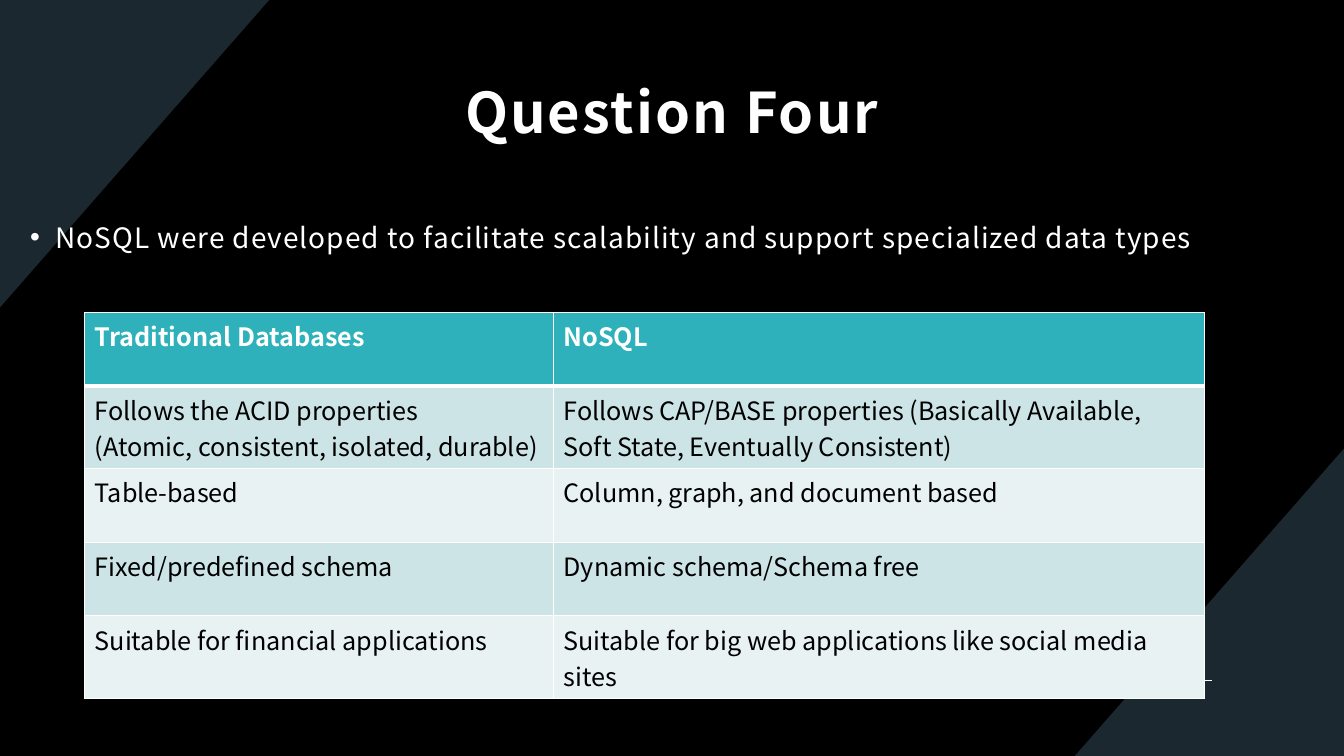
"""Build the Question Four slide comparing traditional databases with NoSQL."""
from dataclasses import dataclass

from lxml import etree
from pptx import Presentation
from pptx import util as u
from pptx.dml.color import RGBColor
from pptx.enum import shapes, text
from pptx.oxml.ns import qn


@dataclass(frozen=True)
class Theme:
    """Colours, fonts and type sizes of the slide."""
    background: str = "000000"
    corner: str = "1B282F"
    light: str = "FFFFFF"
    dark: str = "000000"
    header: str = "2FB1BB"
    bands: tuple = ("CDE4E7", "E8F2F3")
    font: str = "Noto Sans CJK SC"
    bullet_font: str = "Arial"
    title_size: int = 40
    body_size: int = 20
    cell_size: int = 18


THEME = Theme()
CORNERS = (
    ((13.33, 4.45), (13.33, 7.5), (10.66, 7.5)),
    ((0, 0), (2.67, 0), (0, 3.05)),
)
SHORT_ROW, TALL_ROW = 0.73, 0.82
COMPARISON = (
    (SHORT_ROW, "Traditional Databases", "NoSQL"),
    (TALL_ROW, "Follows the ACID properties\n(Atomic, consistent, isolated, durable)",
     "Follows CAP/BASE properties (Basically Available, Soft State, Eventually Consistent)"),
    (SHORT_ROW, "Table-based", "Column, graph, and document based"),
    (SHORT_ROW, "Fixed/predefined schema", "Dynamic schema/Schema free"),
    (TALL_ROW, "Suitable for financial applications",
     "Suitable for big web applications like social media sites"),
)


def apply(target, values):
    """Set each named value on the target."""
    for name, value in values.items():
        setattr(target, name, value)


def paint(fill, colour):
    """Give a fill one solid colour."""
    fill.solid()
    fill.fore_color.rgb = RGBColor.from_string(colour)


def style_font(font, size, colour, bold=False):
    """Set the typeface, size, weight and colour of a font."""
    apply(font, {"name": THEME.font, "size": u.Pt(size), "bold": bold})
    font.color.rgb = RGBColor.from_string(colour)


def add_corner(slide, points):
    """Draw a triangle that fills a slide corner."""
    start, *others = [(u.Inches(x), u.Inches(y)) for x, y in points]
    builder = slide.shapes.build_freeform(*start)
    builder.add_line_segments(others)
    corner = builder.convert_to_shape()
    corner.shadow.inherit = False
    paint(corner.fill, THEME.corner)
    corner.line.fill.background()


def add_rule(slide, left, right, top):
    """Draw a thin horizontal rule."""
    rule = slide.shapes.add_connector(
        shapes.MSO_CONNECTOR.STRAIGHT,
        u.Inches(left), u.Inches(top), u.Inches(right), u.Inches(top))
    rule.line.width = u.Pt(1)
    paint(rule.line.fill, THEME.light)
    etree.SubElement(rule.element.spPr, qn("a:effectLst"))


def add_text(slide, words, box, size, spacing, paragraph_format, anchor, bold=False):
    """Add one letter-spaced paragraph and return it."""
    frame = slide.shapes.add_textbox(*map(u.Inches, box)).text_frame
    margin = u.Inches(0.12)
    apply(frame, {"word_wrap": True, "vertical_anchor": anchor,
                  "margin_left": margin, "margin_right": margin,
                  "margin_top": margin, "margin_bottom": u.Inches(0.1)})
    paragraph = frame.paragraphs[0]
    apply(paragraph, paragraph_format)
    run = paragraph.add_run()
    run.text = words
    style_font(run.font, size, THEME.light, bold)
    run.font._element.set("spc", str(round(spacing * 100)))
    return paragraph


def add_bullet(paragraph, indent):
    """Hang a round bullet in front of a paragraph."""
    properties = paragraph._p.get_or_add_pPr()
    properties.set("marL", str(u.Inches(indent)))
    properties.set("indent", str(-u.Inches(indent)))
    etree.SubElement(properties, qn("a:buFont"), typeface=THEME.bullet_font)
    etree.SubElement(properties, qn("a:buChar"), char="•")


def add_borders(cell, widths):
    """Outline a cell with the point width given for each side."""
    properties = cell._tc.get_or_add_tcPr()
    for position, (side, width) in enumerate(widths.items()):
        border = etree.Element(qn(f"a:ln{side}"), w=str(u.Pt(width)))
        solid = etree.SubElement(border, qn("a:solidFill"))
        etree.SubElement(solid, qn("a:srgbClr"), val=THEME.light)
        properties.insert(position, border)


def add_comparison(slide, rows, left, top, widths):
    """Add the banded table with its header row."""
    total_height = sum(height for height, *_ in rows)
    table = slide.shapes.add_table(
        len(rows), len(widths), u.Inches(left), u.Inches(top),
        u.Inches(sum(widths)), u.Inches(total_height)).table
    for column, width in zip(table.columns, widths):
        column.width = u.Inches(width)
    for row_index, (height, *entries) in enumerate(rows):
        table.rows[row_index].height = u.Inches(height)
        is_header = row_index == 0
        fill = THEME.header if is_header else THEME.bands[(row_index - 1) % 2]
        ink = THEME.light if is_header else THEME.dark
        for column_index, words in enumerate(entries):
            cell = table.cell(row_index, column_index)
            cell.text = words
            paint(cell.fill, fill)
            add_borders(cell, {"L": 1, "R": 1, "T": 3 if row_index == 1 else 1,
                               "B": 3 if is_header else 1})
            for paragraph in cell.text_frame.paragraphs:
                for run in paragraph.runs:
                    style_font(run.font, THEME.cell_size, ink, is_header)


def main():
    """Assemble and save the slide."""
    deck = Presentation()
    apply(deck, {"slide_width": u.Inches(13.33), "slide_height": u.Inches(7.5)})
    slide = deck.slides.add_slide(deck.slide_layouts[6])
    paint(slide.background.fill, THEME.background)
    for points in CORNERS:
        add_corner(slide, points)
    add_rule(slide, 1.35, 12.02, 6.75)
    add_text(slide, "Question Four", (1.25, 0.31, 10.83, 1.49), THEME.title_size, 1.5,
             {"alignment": text.PP_ALIGN.CENTER, "line_spacing": 1.1},
             text.MSO_ANCHOR.MIDDLE, bold=True)
    statement = add_text(
        slide, "NoSQL were developed to facilitate scalability and support specialized data types",
        (0.18, 2, 12.12, 4.76), THEME.body_size, 0.7,
        {"line_spacing": 1.2, "space_before": u.Pt(10)}, text.MSO_ANCHOR.TOP)
    add_bullet(statement, 0.25)
    add_comparison(slide, COMPARISON, 0.84, 3.1, (4.65, 6.46))
    deck.save("out.pptx")


if __name__ == "__main__":
    main()
